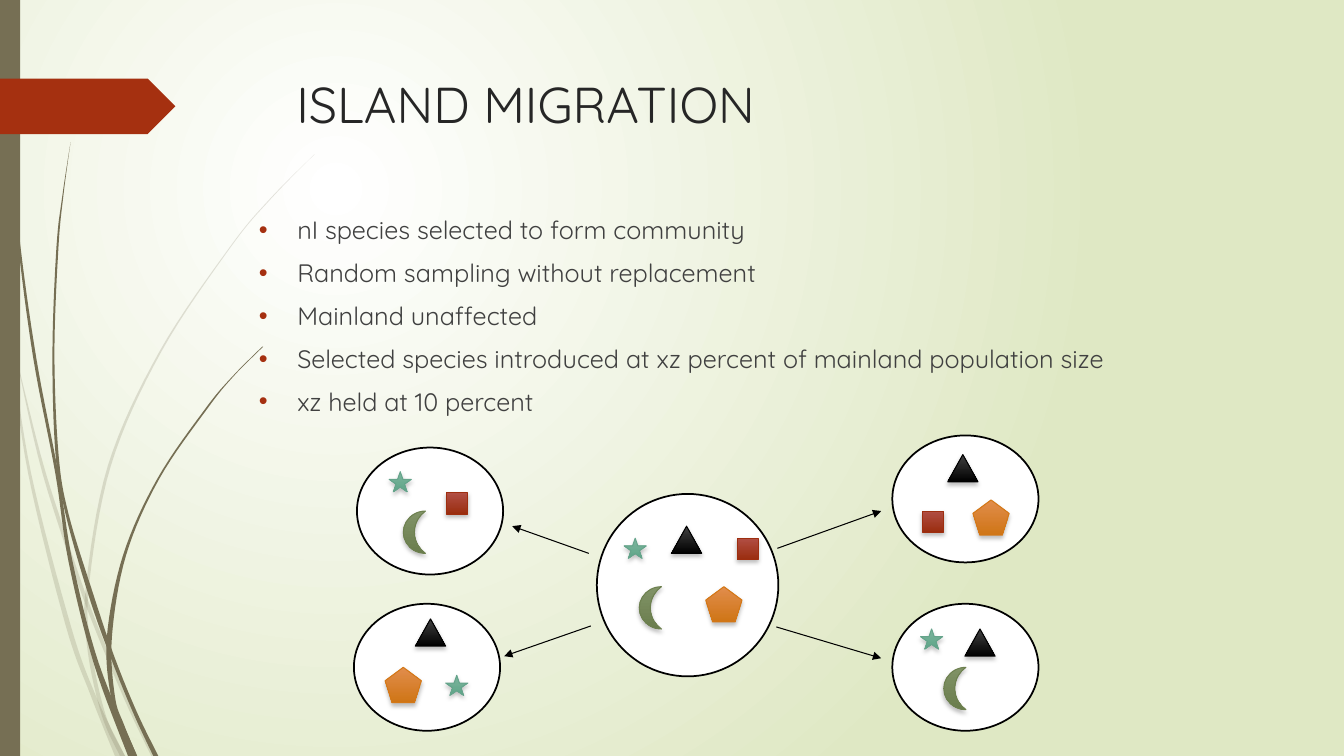
from dataclasses import dataclass

from lxml.etree import SubElement
from pptx import Presentation
from pptx.dml.color import RGBColor
from pptx.enum.shapes import MSO_CONNECTOR as Connector, MSO_SHAPE as Shape
from pptx.oxml import parse_xml
from pptx.oxml.ns import nsdecls, qn
from pptx.util import Inches, Pt


@dataclass(frozen=True)
class Theme:
    """Colours and type sizes of the slide."""
    font: str = "Quicksand"
    title_size: int = 36
    body_size: int = 18
    title_color: str = "262626"
    body_color: str = "404040"
    accent: str = "A53010"
    stem: str = "766F54"
    ink: str = "000000"
    paper: str = "FFFFFF"
    meadow: str = "DFE8C4"


THEME = Theme()

SPECIES = {
    "star": (Shape.STAR_5_POINT, 0.22, 0.2, "7DB59D", "5EA588", "65A48B"),
    "triangle": (Shape.ISOSCELES_TRIANGLE, 0.3, 0.27, "414141", "000000", "000000"),
    "square": (Shape.RECTANGLE, 0.21, 0.21, "B14E43", "9A2D0F", "9E2E0F"),
    "pentagon": (Shape.REGULAR_PENTAGON, 0.36, 0.35, "E18D4C", "CF7516", "D47817"),
    "moon": (Shape.MOON, 0.22, 0.42, "819367", "6A7D4D", "6D804F"),
}

MAINLAND_SIZE = (1.8, 1.81)
ISLAND_SIZE = (1.45, 1.26)
COMMUNITIES = [
    ((5.92, 4.9), MAINLAND_SIZE, {"star": (6.19, 5.34), "triangle": (6.66, 5.22), "square": (7.31, 5.34),
                                  "pentagon": (7, 5.82), "moon": (6.34, 5.82)}),
    ((8.85, 4.32), ISLAND_SIZE, {"triangle": (9.4, 4.51), "pentagon": (9.65, 4.96), "square": (9.15, 5.07)}),
    ((8.85, 5.99), ISLAND_SIZE, {"star": (9.13, 6.24), "moon": (9.36, 6.62), "triangle": (9.57, 6.24)}),
    ((3.54, 4.44), ISLAND_SIZE, {"star": (3.86, 4.68), "square": (4.43, 4.89), "moon": (4, 5.07)}),
    ((3.51, 5.99), ISLAND_SIZE, {"pentagon": (3.82, 6.62), "triangle": (4.12, 6.14), "star": (4.42, 6.7)}),
]
MIGRATIONS = [
    ((7.71, 5.44), (8.74, 5.07)),
    ((7.7, 6.22), (8.74, 6.53)),
    ((5.86, 6.21), (5, 6.51)),
    ((5.84, 5.49), (5.08, 5.22)),
]

PALE_STEMS = [
    [(0, 0, 2.82), (0.1, 0.11, 3.44), (0.28, 0.31, 4.7), (0.65, 0.7, 6.2), (0.9, 0.95, 6.9), (1.14, 1.24, 7.5)],
    [(0.14, 0.14, 3.45), (0.37, 0.4, 4.5), (0.58, 0.62, 5.21), (0.86, 0.9, 6.03), (1.23, 1.27, 6.93),
     (1.5, 1.55, 7.5)],
    [(3.12, 3.12, 1.53), (2.68, 2.69, 1.97), (2.28, 2.29, 2.45), (1.58, 1.6, 3.49), (1.07, 1.1, 4.62),
     (0.85, 0.88, 5.84), (0.87, 0.91, 6.46), (1.01, 1.05, 7.1), (1.19, 1.24, 7.5)],
]
DARK_STEMS = [
    [(0.03, 0.04, 0), (0.07, 0.08, 1.1), (0.17, 0.19, 2.33), (0.33, 0.36, 3.55), (0.55, 0.58, 4.7),
     (0.68, 0.72, 5.57), (0.93, 0.98, 6.58), (1.27, 1.36, 7.5)],
    [(0.7, 0.7, 1.41), (0.62, 0.63, 1.93), (0.56, 0.58, 2.45), (0.52, 0.54, 3.49), (0.55, 0.58, 4.5),
     (0.65, 0.68, 5.1), (0.88, 0.93, 5.91), (1.1, 1.14, 6.53), (1.32, 1.36, 7.07), (1.52, 1.57, 7.5)],
    [(2.6, 2.61, 3.44), (2.31, 2.32, 3.73), (2.04, 2.06, 4.05), (1.56, 1.58, 4.75), (1.22, 1.25, 5.51),
     (1.06, 1.11, 6.32), (1.1, 1.14, 6.91), (1.21, 1.23, 7.19), (1.33, 1.36, 7.5)],
]

BULLETS = [
    "nI species selected to form community",
    "Random sampling without replacement",
    "Mainland unaffected",
    "Selected species introduced at xz percent of mainland population size",
    "xz held at 10 percent",
]


def smooth(stations, steps=8):
    """Return the stations with a Catmull-Rom curve drawn through them."""
    padded = [stations[0], *stations, stations[-1]]
    curve = []
    for a, b, c, d in zip(padded, padded[1:], padded[2:], padded[3:]):
        for t in (step / steps for step in range(steps)):
            curve.append(tuple(
                0.5 * (2 * q + (r - p) * t + (2 * p - 5 * q + 4 * r - s) * t ** 2 + (3 * q - p - 3 * r + s) * t ** 3)
                for p, q, r, s in zip(a, b, c, d)))
    return curve + [stations[-1]]


class SlideBuilder:
    """Draws themed elements on one slide."""

    def __init__(self, slide, theme):
        self.slide, self.theme = slide, theme

    def background(self):
        """Fill the background with a round glow."""
        fill = self.slide.background.fill
        self.gradient(fill, self.theme.paper, self.theme.meadow)
        linear = fill._fill._gradFill.find(qn("a:lin"))
        glow = parse_xml(f'<a:path {nsdecls("a")} path="circle">'
                         '<a:fillToRect l="50000" t="50000" r="100000" b="100000"/></a:path>')
        linear.getparent().replace(linear, glow)

    def gradient(self, fill, start, end):
        """Apply a two-colour gradient running downwards."""
        fill.gradient()
        fill.gradient_angle = 270
        for stop, color in zip(fill.gradient_stops, (start, end)):
            stop.color.rgb = RGBColor.from_string(color)

    def shape(self, kind, at, size, color, line=None, width=1.25):
        """Add a flat preset shape."""
        shape = self.slide.shapes.add_shape(kind, *map(Inches, at + size))
        self.paint(shape, color)
        if line:
            shape.line.color.rgb = RGBColor.from_string(line)
            shape.line.width = Pt(width)
        return shape

    def paint(self, shape, color):
        """Give a shape a solid fill, no outline and no shadow."""
        shape.shadow.inherit = False
        shape.fill.solid()
        shape.fill.fore_color.rgb = RGBColor.from_string(color)
        shape.line.fill.background()

    def stem(self, stations, opacity=100):
        """Add a curved blade from (left, right, height) stations."""
        curve = smooth(stations)
        outline = [(left, y) for left, _, y in curve] + [(right, y) for _, right, y in reversed(curve)]
        points = [(Inches(x), Inches(y)) for x, y in outline]
        builder = self.slide.shapes.build_freeform(*points[0])
        builder.add_line_segments(points[1:], close=True)
        shape = builder.convert_to_shape()
        self.paint(shape, self.theme.stem)
        if opacity < 100:
            color = shape._element.spPr.find(qn("a:solidFill"))[0]
            SubElement(color, qn("a:alpha"), val=str(opacity * 1000))

    def species(self, name, at):
        """Add one species marker with a soft shadow."""
        kind, width, height, top, bottom, line = SPECIES[name]
        shape = self.shape(kind, at, (width, height), top, line, 0.75)
        self.gradient(shape.fill, top, bottom)
        shape._element.spPr.find(qn("a:effectLst")).append(parse_xml(
            f'<a:outerShdw {nsdecls("a")} blurRad="{Pt(3)}" dist="{Pt(2)}" dir="5400000" rotWithShape="0">'
            f'<a:srgbClr val="{self.theme.ink}"><a:alpha val="25000"/></a:srgbClr></a:outerShdw>'))

    def arrow(self, start, end):
        """Add a thin arrow."""
        connector = self.slide.shapes.add_connector(Connector.STRAIGHT, *map(Inches, start + end))
        connector.line.color.rgb = RGBColor.from_string(self.theme.ink)
        connector.line.width = Pt(0.75)
        SubElement(connector.line._get_or_add_ln(), qn("a:tailEnd"), type="triangle")
        SubElement(connector._element.spPr, qn("a:effectLst"))

    def text(self, lines, at, size, points, color, bulleted=False):
        """Add a text box with one paragraph per line."""
        frame = self.slide.shapes.add_textbox(*map(Inches, at + size)).text_frame
        frame.word_wrap = True
        frame.text = "\n".join(lines)
        for paragraph in frame.paragraphs:
            paragraph.font.name, paragraph.font.size = self.theme.font, Pt(points)
            paragraph.font.color.rgb = RGBColor.from_string(color)
            if bulleted:
                self.bullet(paragraph)

    def bullet(self, paragraph):
        """Give a paragraph a coloured bullet and a hanging indent."""
        paragraph.space_before = Pt(9)
        properties = paragraph._p.get_or_add_pPr()
        properties.set("marL", str(Inches(0.38)))
        properties.set("indent", str(Inches(-0.38)))
        default = properties.find(qn("a:defRPr"))
        for part in (f'<a:buClr {nsdecls("a")}><a:srgbClr val="{self.theme.accent}"/></a:buClr>',
                     f'<a:buFont {nsdecls("a")} typeface="Arial"/>',
                     f'<a:buChar {nsdecls("a")} char="•"/>'):
            default.addprevious(parse_xml(part))


def main():
    """Build the slide and save it."""
    presentation = Presentation()
    presentation.slide_width, presentation.slide_height = Inches(13.33), Inches(7.5)
    builder = SlideBuilder(presentation.slides.add_slide(presentation.slide_layouts[6]), THEME)
    builder.background()
    for stations in PALE_STEMS:
        builder.stem(stations, opacity=20)
    for stations in DARK_STEMS:
        builder.stem(stations)
    builder.shape(Shape.RECTANGLE, (0, 0), (0.2, 7.5), THEME.stem)
    builder.shape(Shape.PENTAGON, (0, 0.78), (1.74, 0.55), THEME.accent)
    builder.text(["ISLAND MIGRATION"], (2.84, 0.68), (9.75, 1.4), THEME.title_size, THEME.title_color)
    builder.text(BULLETS, (2.47, 2.08), (9.75, 4.13), THEME.body_size, THEME.body_color, bulleted=True)
    for at, size, members in COMMUNITIES:
        builder.shape(Shape.OVAL, at, size, THEME.paper, THEME.ink)
        for name, place in members.items():
            builder.species(name, place)
    for start, end in MIGRATIONS:
        builder.arrow(start, end)
    presentation.save("out.pptx")


if __name__ == "__main__":
    main()
